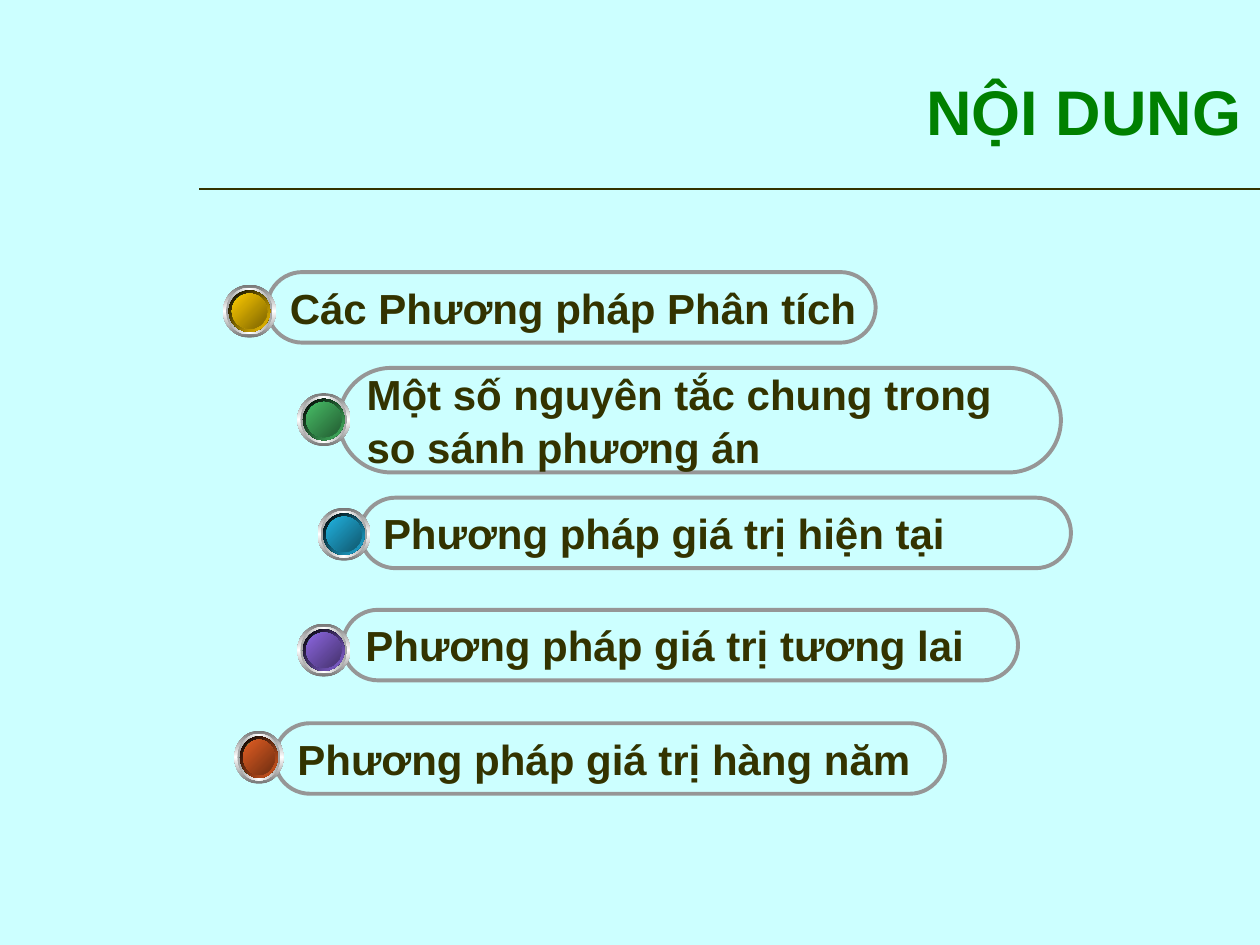
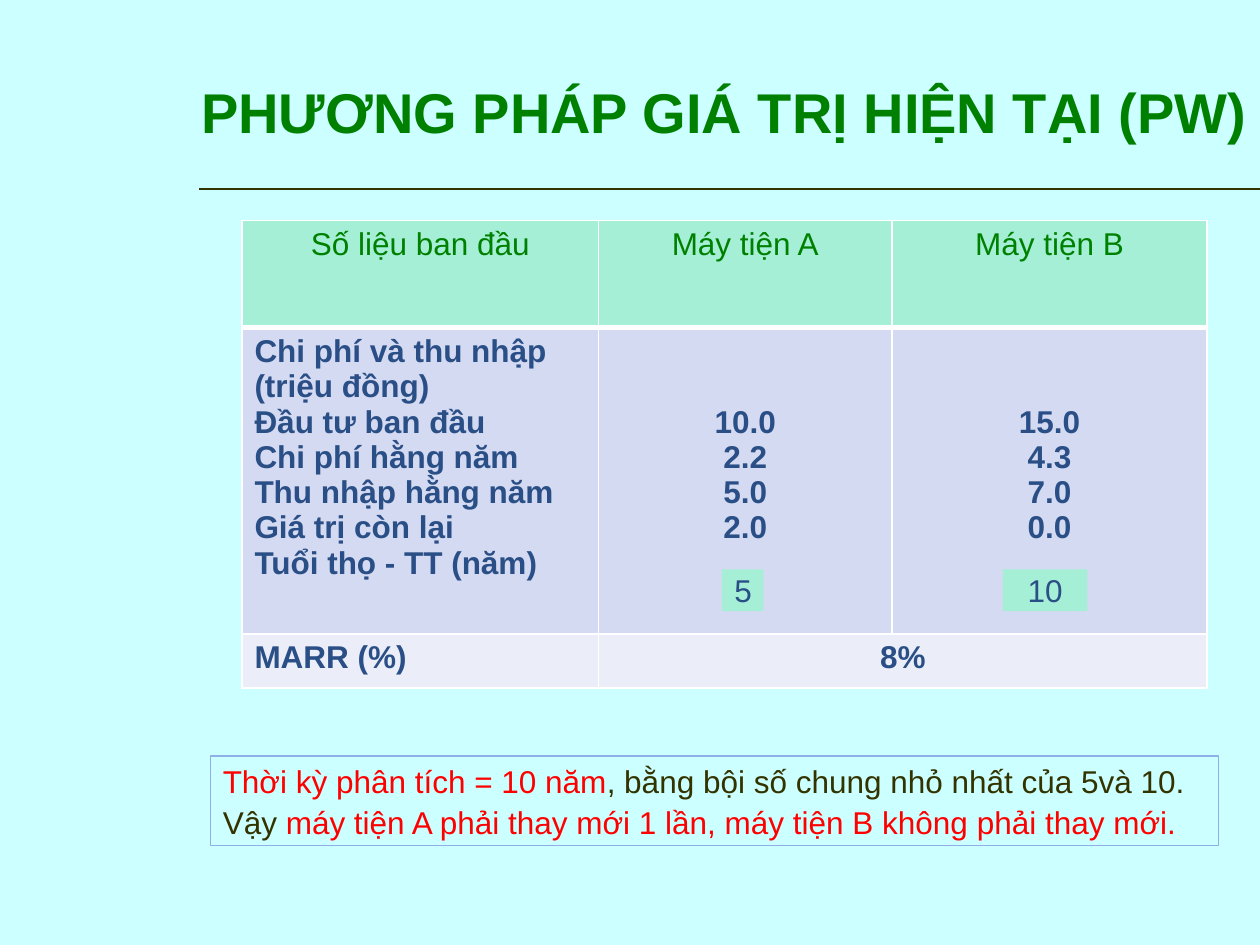
from lxml import etree
from pptx import Presentation
from pptx.dml.color import RGBColor
from pptx.enum.shapes import MSO_CONNECTOR, MSO_SHAPE
from pptx.enum.text import MSO_ANCHOR, PP_ALIGN
from pptx.oxml.ns import qn
from pptx.util import Inches, Pt

STRAIGHT = MSO_CONNECTOR.STRAIGHT
RECTANGLE = MSO_SHAPE.RECTANGLE
ROUNDED = MSO_SHAPE.ROUNDED_RECTANGLE
OVAL = MSO_SHAPE.OVAL
TOP, MIDDLE = MSO_ANCHOR.TOP, MSO_ANCHOR.MIDDLE
LEFT, CENTER, RIGHT = PP_ALIGN.LEFT, PP_ALIGN.CENTER, PP_ALIGN.RIGHT

FONT = "Arial"
COLORS = {
    "background": "CCFFFF", "title": "008000", "ink": "333300", "outline": "969696",
    "mint": "A5EFD6", "navy": "2A4F86", "body": "D4DAF1", "total": "EBEDF8",
    "white": "FFFFFF", "black": "000000", "red": "FF0000", "note": "8FAFE9",
    "rim": "767676", "bevel": "A2A2A2", "jade": "18CE84", "deep_jade": "129E65",
}

TOPICS = [
    (["Các Phương pháp Phân tích"], (2.12, 2.16, 4.83, 0.56),
     (1.77, 2.26, 0.42, 0.42), "FFCC00", "7C6300"),
    (["Một số nguyên tắc chung trong", "so sánh phương án"], (2.69, 2.92, 5.73, 0.83),
     (2.36, 3.12, 0.42, 0.42), "48BE67", "235C32"),
    (["Phương pháp giá trị hiện tại"], (2.86, 3.95, 5.64, 0.56),
     (2.52, 4.03, 0.42, 0.42), "21B3E1", "10576D"),
    (["Phương pháp giá trị tương lai"], (2.72, 4.84, 5.36, 0.56),
     (2.36, 4.95, 0.42, 0.42), "8D67E1", "45326D"),
    (["Phương pháp giá trị hàng năm"], (2.18, 5.74, 5.32, 0.56),
     (1.86, 5.8, 0.39, 0.42), "E35E23", "6E2E11"),
]

HEADINGS = ["Số liệu ban đầu", "Máy tiện A", "Máy tiện B"]
COSTS = [
    ["Chi phí và thu nhập", "(triệu đồng)", "Đầu tư ban đầu", "Chi phí hằng năm",
     "Thu nhập hằng năm", "Giá trị còn lại", "Tuổi thọ - TT (năm)"],
    ["10.0", "2.2", "5.0", "2.0"],
    ["15.0", "4.3", "7.0", "0.0"],
]
LINE_HEIGHT = 0.28


def rgb(color):
    return RGBColor.from_string(COLORS.get(color, color))


def write(frame, lines, size=18, color="ink", bold=False, align=LEFT, gap=0):
    for index, line in enumerate(lines):
        para = frame.paragraphs[0] if index == 0 else frame.add_paragraph()
        para.alignment = align
        para.space_before = Pt(gap if index else 0)
        for text, span_color in [(line, color)] if isinstance(line, str) else line:
            span = para.add_run()
            span.text = text
            span.font.name = FONT
            span.font.size = Pt(size)
            span.font.bold = bold
            span.font.color.rgb = rgb(span_color)


def gradient(shape, colors, angle):
    properties = shape._element.spPr
    fill = etree.Element(qn("a:gradFill"), rotWithShape="1")
    stops = etree.SubElement(fill, qn("a:gsLst"))
    for index, color in enumerate(colors):
        position = 100000 * index // (len(colors) - 1)
        stop = etree.SubElement(stops, qn("a:gs"), pos=str(position))
        etree.SubElement(stop, qn("a:srgbClr"), val=COLORS.get(color, color))
    etree.SubElement(fill, qn("a:lin"), ang=str(angle * 60000), scaled="0")
    properties.find(qn("a:prstGeom")).addnext(fill)


def set_borders(cell, **widths):
    properties = cell._tc.get_or_add_tcPr()
    for index, side in enumerate("LRTB"):
        width = widths.get(side, 1)
        border = etree.Element(qn("a:ln" + side), w=str(Pt(width)))
        fill = etree.SubElement(border, qn("a:solidFill"))
        etree.SubElement(fill, qn("a:srgbClr"), val=COLORS["white"])
        properties.insert(index, border)


class Builder:
    def __init__(self):
        self.deck = Presentation()
        self.deck.slide_width = Inches(10)
        self.deck.slide_height = Inches(7.5)
        self.page = None

    def add_page(self, title, area, size):
        self.page = self.deck.slides.add_slide(self.deck.slide_layouts[6])
        background = self.page.background.fill
        background.solid()
        background.fore_color.rgb = rgb("background")
        rule = self.page.shapes.add_connector(
            STRAIGHT, Inches(1.58), Inches(1.5), Inches(10), Inches(1.5))
        rule.line.color.rgb = rgb("ink")
        rule.line.width = Pt(0.75)
        etree.SubElement(rule._element.spPr, qn("a:effectLst"))
        box = self.page.shapes.add_textbox(*map(Inches, area))
        box.text_frame.word_wrap = True
        box.text_frame.vertical_anchor = MIDDLE
        write(box.text_frame, [title], size=size, color="title", bold=True, align=RIGHT)

    def shape(self, kind, area, fill=None, line=None, width=0.75, parent=None):
        shape = (parent or self.page).shapes.add_shape(kind, *map(Inches, area))
        shape.shadow.inherit = False
        if fill:
            shape.fill.solid()
            shape.fill.fore_color.rgb = rgb(fill)
        else:
            shape.fill.background()
        if line:
            shape.line.color.rgb = rgb(line)
            shape.line.width = Pt(width)
        else:
            shape.line.fill.background()
        return shape

    def label(self, kind, area, lines, anchor=MIDDLE, fill=None, line=None, width=0.75, **style):
        shape = self.shape(kind, area, fill, line, width)
        frame = shape.text_frame
        frame.word_wrap = True
        frame.vertical_anchor = anchor
        write(frame, lines, **style)
        return shape

    def pill(self, area, lines):
        pill = self.label(ROUNDED, area, lines, line="outline", width=2.25,
                          size=24, bold=True, gap=1.8)
        pill.adjustments[0] = 0.5
        pill.text_frame.margin_right = 0

    def ball(self, area, light, dark):
        left, top, width, height = area
        layers = [
            (0, ["rim", "white", "rim"], 90),
            (0.025, ["bevel", "white", "bevel"], 0),
            (0.045, ["white", "jade", "white"], 45),
            (0.045, ["black", light], 45),
            (0.07, ["deep_jade", "jade", "deep_jade"], 315),
            (0.07, [light, dark], 45),
        ]
        group = self.page.shapes.add_group_shape()
        for inset, colors, angle in layers:
            disc_area = (left + inset, top + inset, width - 2 * inset, height - 2 * inset)
            disc = self.shape(OVAL, disc_area, parent=group)
            disc._element.spPr.remove(disc._element.spPr.find(qn("a:noFill")))
            gradient(disc, colors, angle)

    def table(self, area, widths, heights):
        frame = self.page.shapes.add_table(len(heights), len(widths), *map(Inches, area))
        table = frame.table
        for column, width in zip(table.columns, widths):
            column.width = Inches(width)
        for row, height in zip(table.rows, heights):
            row.height = Inches(height)
        return table

    def cell(self, cell, lines, fill, top_lines=0, borders=None, **style):
        cell.fill.solid()
        cell.fill.fore_color.rgb = rgb(fill)
        cell.margin_top = Inches(0.05 + top_lines * LINE_HEIGHT)
        set_borders(cell, **(borders or {}))
        write(cell.text_frame, lines, **style)


def build_contents(builder):
    builder.add_page("NỘI DUNG", (1.64, 0.25, 8.31, 1.25), 36)
    for lines, area, _, _, _ in reversed(TOPICS):
        builder.pill(area, lines)
    for _, _, area, light, dark in TOPICS:
        builder.ball(area, light, dark)


def build_present_worth(builder):
    builder.add_page("PHƯƠNG PHÁP GIÁ TRỊ HIỆN TẠI (PW)", (1.08, 0.42, 8.92, 0.92), 32)
    table = builder.table((1.92, 1.75, 7.67, 3.72), [2.83, 2.33, 2.5], [0.85, 2.43, 0.43])
    table.cell(2, 1).merge(table.cell(2, 2))
    strong = {"color": "navy", "bold": True}
    for column, (heading, lines) in enumerate(zip(HEADINGS, COSTS)):
        builder.cell(table.cell(0, column), [heading], "mint", borders={"B": 3},
                     color="title", align=CENTER)
        builder.cell(table.cell(1, column), lines, "body", borders={"T": 3},
                     top_lines=2 if column else 0, align=CENTER if column else LEFT, **strong)
    builder.cell(table.cell(2, 0), ["MARR (%)"], "total", **strong)
    builder.cell(table.cell(2, 1), ["8%"], "total", align=CENTER, **strong)
    set_borders(table.cell(2, 2))

    for years, left, width in [("5", 5.73, 0.33), ("10", 7.96, 0.67)]:
        builder.label(RECTANGLE, (left, 4.52, width, 0.33), [years], fill="mint",
                      color="navy", align=CENTER)
    conclusion = [
        [("Thời kỳ phân tích = 10 năm", "red"),
         (", bằng bội số chung nhỏ nhất của 5và 10.", "ink")],
        [("Vậy ", "ink"),
         ("máy tiện A phải thay mới 1 lần, máy tiện B không phải thay mới.", "red")],
    ]
    builder.label(RECTANGLE, (1.67, 6, 8, 0.71), conclusion, anchor=TOP, line="note", gap=1.6)


def main():
    builder = Builder()
    build_contents(builder)
    build_present_worth(builder)
    builder.deck.save("out.pptx")


if __name__ == "__main__":
    main()
